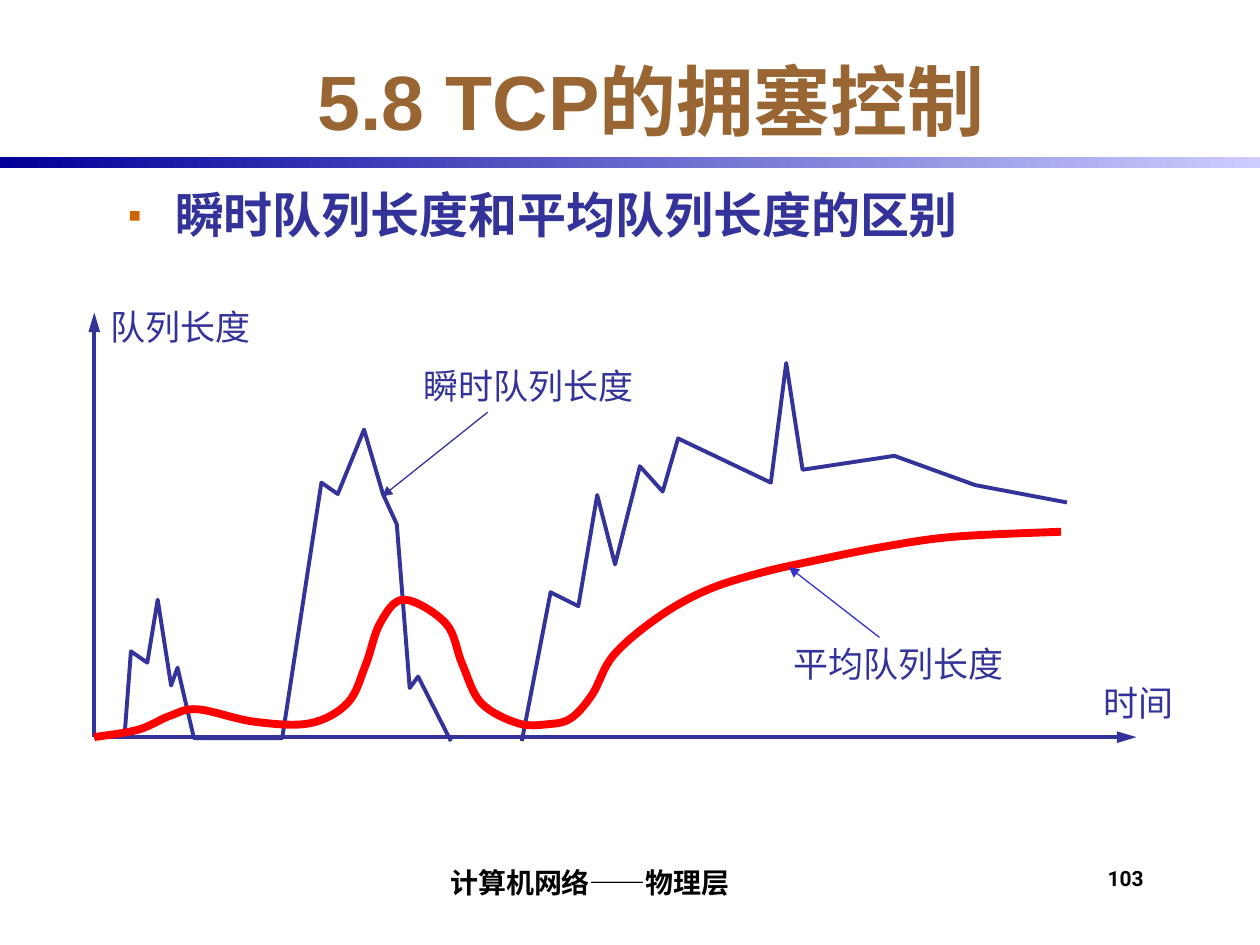
from lxml.etree import SubElement
from pptx import Presentation
from pptx.dml.color import RGBColor
from pptx.enum.shapes import MSO_CONNECTOR as Connector, MSO_SHAPE as Shape
from pptx.enum.text import MSO_ANCHOR as Anchor, MSO_AUTO_SIZE as AutoSize, PP_ALIGN as Align
from pptx.oxml.ns import qn
from pptx.util import Cm, Pt

INSTANT_EARLY = [
    (2.51, 14.86), (2.64, 13.13), (2.97, 13.36), (3.18, 12.09), (3.45, 13.82), (3.58, 13.46),
    (3.91, 14.88), (5.69, 14.88), (6.48, 9.73), (6.81, 9.96), (7.34, 8.66), (7.72, 9.96),
    (8, 10.57), (8.26, 13.87), (8.43, 13.64), (9.09, 14.94),
]
INSTANT_LATE = [
    (10.52, 14.94), (11.1, 11.94), (11.66, 12.22), (12.04, 9.98), (12.4, 11.38), (12.9, 9.4),
    (13.36, 9.91), (13.67, 8.84), (15.54, 9.73), (15.85, 7.32), (16.18, 9.47), (18.03, 9.19),
    (19.66, 9.78), (21.51, 10.13),
]
AVERAGE = [
    (1.9, 14.86), (2.79, 14.71), (3.43, 14.43), (3.99, 14.3), (5.13, 14.55), (6.25, 14.58),
    (7.01, 14.17), (7.37, 13.41), (7.67, 12.55), (8.15, 12.09), (8.99, 12.57), (9.32, 13.39),
    (9.7, 14.17), (10.44, 14.58), (11.05, 14.6), (11.51, 14.48), (11.94, 14), (12.37, 13.21),
    (13.26, 12.45), (14.22, 11.91), (15.29, 11.56), (16.43, 11.3), (17.83, 11.02),
    (19.25, 10.82), (21.39, 10.72),
]


def color(value):
    return RGBColor.from_string(value)


def spline_points(knots):
    padded = [knots[0], *knots, knots[-1]]
    points = [knots[0]]
    for before, start, end, after in zip(padded, padded[1:], padded[2:], padded[3:]):
        points.append(tuple(s + (e - b) / 6 for b, s, e in zip(before, start, end)))
        points.append(tuple(e - (a - s) / 6 for s, e, a in zip(start, end, after)))
        points.append(end)
    return points


class Deck:
    ink = "333399"
    label_font = "Times New Roman"
    heading_font = "Arial"
    footer_font = "Roboto"

    def __init__(self):
        self.prs = Presentation()
        self.prs.slide_width, self.prs.slide_height = Cm(25.4), Cm(19.05)
        self.slide = self.prs.slides.add_slide(self.prs.slide_layouts[6])
        self.shapes = self.slide.shapes

    def band(self, box, start, end):
        band = self.shapes.add_shape(Shape.RECTANGLE, *map(Cm, box))
        band.shadow.inherit = False
        band.line.fill.background()
        band.fill.gradient()
        band.fill.gradient_angle = 0
        for stop, hue in zip(band.fill.gradient_stops, (start, end)):
            stop.color.rgb = color(hue)

    def text(self, text, box, size, font, hue=ink, bold=True, align=Align.LEFT,
             anchor=Anchor.TOP, insets=(0.25, 0.13, 0.25, 0.13), wrap=True, bullet=None):
        frame = self.shapes.add_textbox(*map(Cm, box)).text_frame
        frame.word_wrap = wrap
        frame.auto_size = AutoSize.NONE if wrap else AutoSize.SHAPE_TO_FIT_TEXT
        frame.vertical_anchor = anchor
        (frame.margin_left, frame.margin_top,
         frame.margin_right, frame.margin_bottom) = map(Cm, insets)
        paragraph = frame.paragraphs[0]
        paragraph.text = text
        paragraph.alignment = align
        if bullet:
            self.bullet(paragraph, *bullet)
        style = paragraph.font
        style.size, style.name, style.bold = Pt(size), font, bold
        style.color.rgb = color(hue)

    def bullet(self, paragraph, mark, hue, percent, indent):
        props = paragraph._p.get_or_add_pPr()
        props.set("marL", str(Cm(indent)))
        props.set("indent", str(-Cm(indent)))
        SubElement(SubElement(props, qn("a:buClr")), qn("a:srgbClr"), val=hue)
        SubElement(props, qn("a:buSzPct"), val=str(percent * 1000))
        SubElement(props, qn("a:buFont"), typeface=self.heading_font)
        SubElement(props, qn("a:buChar"), char=mark)

    def label(self, text, left, top, width):
        self.text(text, (left, top, width, 1.11), 20, self.label_font, bold=False, wrap=False)

    def arrow(self, start, end, width, hue=ink, head="med"):
        arrow = self.shapes.add_connector(Connector.STRAIGHT, *map(Cm, start + end))
        arrow.line.width = Pt(width)
        arrow.line.color.rgb = color(hue)
        SubElement(arrow.line._get_or_add_ln(), qn("a:tailEnd"), type="triangle", len=head)
        SubElement(arrow._element.spPr, qn("a:effectLst"))

    def polyline(self, points, width=2.25, hue=ink):
        first, *rest = [(Cm(x), Cm(y)) for x, y in points]
        builder = self.shapes.build_freeform(*first)
        builder.add_line_segments(rest, close=False)
        trace = builder.convert_to_shape()
        trace.shadow.inherit = False
        trace.fill.background()
        trace.line.width = Pt(width)
        trace.line.color.rgb = color(hue)
        return trace

    def curve(self, knots, width, hue):
        trace = self.polyline(spline_points(knots), width, hue)
        outline = next(trace._element.iter(qn("a:path")))
        segments = outline.findall(qn("a:lnTo"))
        for triple in zip(segments[::3], segments[1::3], segments[2::3]):
            bezier = SubElement(outline, qn("a:cubicBezTo"))
            for segment in triple:
                bezier.append(segment[0])
                outline.remove(segment)


def main():
    deck = Deck()
    deck.band((0, 3.17, 25.4, 0.21), "000099", "CCCCFF")
    deck.text("103", (22.23, 17.35, 1.47, 1.07), 12, deck.footer_font, "000000",
              insets=(0.1, 0.1, 0, 0))
    deck.text("5.8 TCP的拥塞控制", (2.33, 0.85, 21.6, 2.33), 44, deck.heading_font, "996633",
              align=Align.CENTER, anchor=Anchor.MIDDLE)
    deck.text("瞬时队列长度和平均队列长度的区别", (2.33, 3.6, 21.6, 12.7), 28,
              deck.heading_font, bullet=("▪", "CC6600", 80, 0.95))

    origin = (1.9, 14.86)
    deck.label("队列长度", 1.98, 6.02, 3.4)
    deck.arrow(origin, (22.91, 14.86), 2.25, head="lg")
    deck.arrow(origin, (1.9, 6.3), 2.25, head="lg")
    deck.label("时间", 21.99, 13.61, 2.05)

    deck.polyline(INSTANT_EARLY)
    deck.polyline(INSTANT_LATE)
    deck.curve(AVERAGE, 4.5, "FF0000")

    deck.label("瞬时队列长度", 8.29, 7.21, 4.8)
    deck.label("平均队列长度", 15.75, 12.83, 4.8)
    deck.arrow((9.83, 8.31), (7.7, 10.01), 0.75)
    deck.arrow((17.73, 12.85), (15.9, 11.43), 0.75, "3333CC")

    deck.text("计算机网络——物理层", (5.28, 17.15, 13.13, 1.07), 16, deck.footer_font, "000000",
              align=Align.CENTER, anchor=Anchor.BOTTOM, insets=(0.1, 0, 0, 0.1))
    deck.prs.save("out.pptx")


if __name__ == "__main__":
    main()
